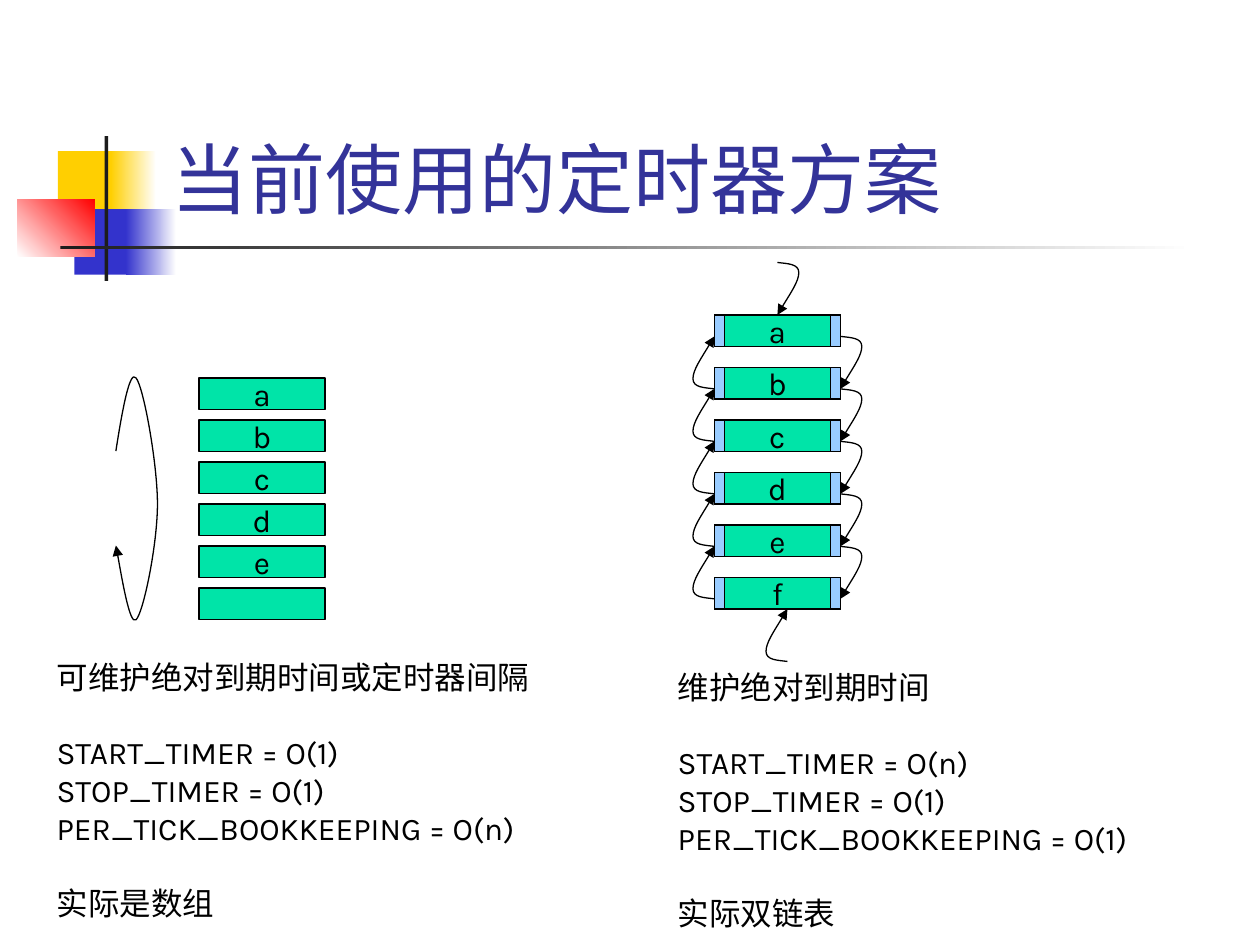
from lxml.etree import SubElement
from pptx import Presentation
from pptx.dml.color import RGBColor
from pptx.enum.shapes import MSO_SHAPE as SHAPE
from pptx.enum.text import MSO_ANCHOR as ANCHOR, MSO_AUTO_SIZE as AUTO, PP_ALIGN as ALIGN
from pptx.oxml.ns import qn
from pptx.util import Inches, Pt

COLORS = {
    "yellow": "FFCF01", "blue": "3333CC", "red": "FF0000", "ink": "1C1C1C",
    "title": "333399", "cell": "00E4A8", "pointer": "99CCFF",
    "black": "000000", "white": "FFFFFF",
}
FONT = "Karla"
CELL_W, CELL_H, POINTER_W = 1, 0.25, 0.08
ARRAY_STEP, LIST_STEP = 1 / 3, 5 / 12
LINK = [(0, 0), (0.08, 0.01), (0.17, 0.01), (0.17, 0.08),
        (0.17, 0.15), (0.08, 0.28), (0, LIST_STEP)]
LOOP = [(0, 0.65), (0.05, 0.33), (0.11, 0), (0.16, 0.07), (0.22, 0.14), (0.33, 0.75),
        (0.33, 1.07), (0.33, 1.39), (0.22, 1.93), (0.16, 1.99), (0.11, 2.04),
        (0.02, 1.5), (0, 1.4)]


def rgb(name):
    """Look up a palette colour."""
    return RGBColor.from_string(COLORS[name])


def add_run(p, text, size=18, color="black"):
    """Append a formatted run to a paragraph."""
    r = p.add_run()
    r.text = text
    r.font.name = FONT
    r.font.size = Pt(size)
    r.font.color.rgb = rgb(color)


def add_rect(s, x, y, w, h, fill, end=None, angle=0, outlined=False):
    """Draw a rectangle with a solid fill, or a gradient when an end colour is given."""
    sp = s.shapes.add_shape(SHAPE.RECTANGLE, Inches(x), Inches(y), Inches(w), Inches(h))
    sp.shadow.inherit = False
    if end:
        sp.fill.gradient()
        sp.fill.gradient_angle = angle
        for stop, name in zip(sp.fill.gradient_stops, (fill, end)):
            stop.color.rgb = rgb(name)
    else:
        sp.fill.solid()
        sp.fill.fore_color.rgb = rgb(fill)
    if outlined:
        sp.line.color.rgb = rgb("black")
        sp.line.width = Pt(0.75)
    else:
        sp.line.fill.background()
    return sp


def add_cell(s, x, y, label):
    """Draw one timer cell with its centred label."""
    sp = add_rect(s, x, y, CELL_W, CELL_H, "cell", outlined=True)
    if label:
        tf = sp.text_frame
        tf.word_wrap = False
        tf.vertical_anchor = ANCHOR.MIDDLE
        p = tf.paragraphs[0]
        p.alignment = ALIGN.CENTER
        add_run(p, label)


def add_curve(s, x, y, offsets, sign=1):
    """Draw an arrow through Bezier points offset from (x, y); sign -1 turns it around."""
    start, *rest = [(Inches(x + sign * dx), Inches(y + sign * dy)) for dx, dy in offsets]
    builder = s.shapes.build_freeform(*start)
    builder.add_line_segments(rest, close=False)
    sp = builder.convert_to_shape()
    sp.shadow.inherit = False
    sp.fill.background()
    sp.line.color.rgb = rgb("black")
    sp.line.width = Pt(0.75)
    outline = sp._element.find(".//" + qn("a:path"))
    segments = outline.findall(qn("a:lnTo"))
    for i in range(0, len(segments), 3):
        bezier = SubElement(outline, qn("a:cubicBezTo"))
        for segment in segments[i:i + 3]:
            bezier.append(segment[0])
            outline.remove(segment)
    SubElement(sp._element.spPr.find(qn("a:ln")), qn("a:tailEnd"), type="triangle")


def add_title(s, x, y, w, h, text):
    """Place the title placeholder and fill it."""
    title = s.shapes.title
    title.left, title.top, title.width, title.height = map(Inches, (x, y, w, h))
    tf = title.text_frame
    tf.auto_size = AUTO.NONE
    tf.vertical_anchor = ANCHOR.BOTTOM
    p = tf.paragraphs[0]
    p.alignment = ALIGN.LEFT
    add_run(p, text, 44, "title")


def add_ornament(s, x, y):
    """Draw the coloured blocks and the cross of rules beside the title."""
    add_rect(s, x + 0.32, y + 0.12, 0.48, 0.52, "yellow")
    add_rect(s, x + 0.74, y + 0.12, 0.36, 0.52, "yellow", "white")
    add_rect(s, x + 0.45, y + 0.58, 0.46, 0.52, "blue")
    add_rect(s, x + 0.86, y + 0.58, 0.4, 0.52, "blue", "white")
    add_rect(s, x, y + 0.5, 0.61, 0.46, "white", "red", 45)
    add_rect(s, x + 0.69, y, 0.03, 1.15, "ink")
    add_rect(s, x + 0.34, y + 0.87, 9, 0.03, "ink", "white")


def add_array(s, x, y, labels):
    """Draw the array of timers and the scan loop on its left."""
    for i, label in enumerate(labels):
        add_cell(s, x, y + i * ARRAY_STEP, label)
    add_curve(s, x - 0.66, y - 0.07, LOOP)


def add_linked_list(s, x, y, labels):
    """Draw the doubly linked list with its forward, backward and end links."""
    last = len(labels) - 1
    right = x + CELL_W
    for i, label in enumerate(labels):
        top = y + i * LIST_STEP
        add_cell(s, x, top, label)
        for left in (x, right - POINTER_W):
            add_rect(s, left, top, POINTER_W, CELL_H, "pointer", outlined=True)
    for i in range(last):
        add_curve(s, right, y + 0.17 + i * LIST_STEP, LINK)
        add_curve(s, x, y + 0.17 + (i + 1) * LIST_STEP, LINK, -1)
    add_curve(s, x + CELL_W / 2, y - LIST_STEP, LINK)
    add_curve(s, x + 0.58, y + CELL_H + (last + 1) * LIST_STEP, LINK, -1)


def add_notes_block(s, x, y, w, h, groups):
    """Write groups of lines, set apart by one line of space."""
    tf = s.shapes.add_textbox(Inches(x), Inches(y), Inches(w), Inches(h)).text_frame
    tf.word_wrap = False
    tf.auto_size = AUTO.SHAPE_TO_FIT_TEXT
    p = tf.paragraphs[0]
    for g, lines in enumerate(groups):
        for i, line in enumerate(lines):
            if g or i:
                p = tf.add_paragraph()
            p.space_before = Pt(21.6 if g and i == 0 else 0)
            add_run(p, line)


def costs(start, stop, tick):
    """Give the cost line of each timer operation."""
    return [f"START_TIMER = O({start})", f"STOP_TIMER = O({stop})",
            f"PER_TICK_BOOKKEEPING = O({tick})"]


def main():
    """Build the slide and save it."""
    prs = Presentation()
    prs.slide_width, prs.slide_height = Inches(10), Inches(7.5)
    s = prs.slides.add_slide(prs.slide_layouts[5])
    add_ornament(s, 0.14, 1.08)
    add_title(s, 1.26, 0.23, 8.52, 1.6, "当前使用的定时器方案")
    add_array(s, 1.58, 3, ["a", "b", "c", "d", "e", ""])
    add_notes_block(s, 0.35, 5.17, 3.95, 2.2, [
        ["可维护绝对到期时间或定时器间隔"], costs("1", "1", "n"), ["实际是数组"]])
    add_linked_list(s, 5.67, 2.5, "abcdef")
    add_notes_block(s, 5.28, 5.25, 3.91, 2.2, [
        ["维护绝对到期时间"], costs("n", "1", "1"), ["实际双链表"]])
    prs.save("out.pptx")


if __name__ == "__main__":
    main()
